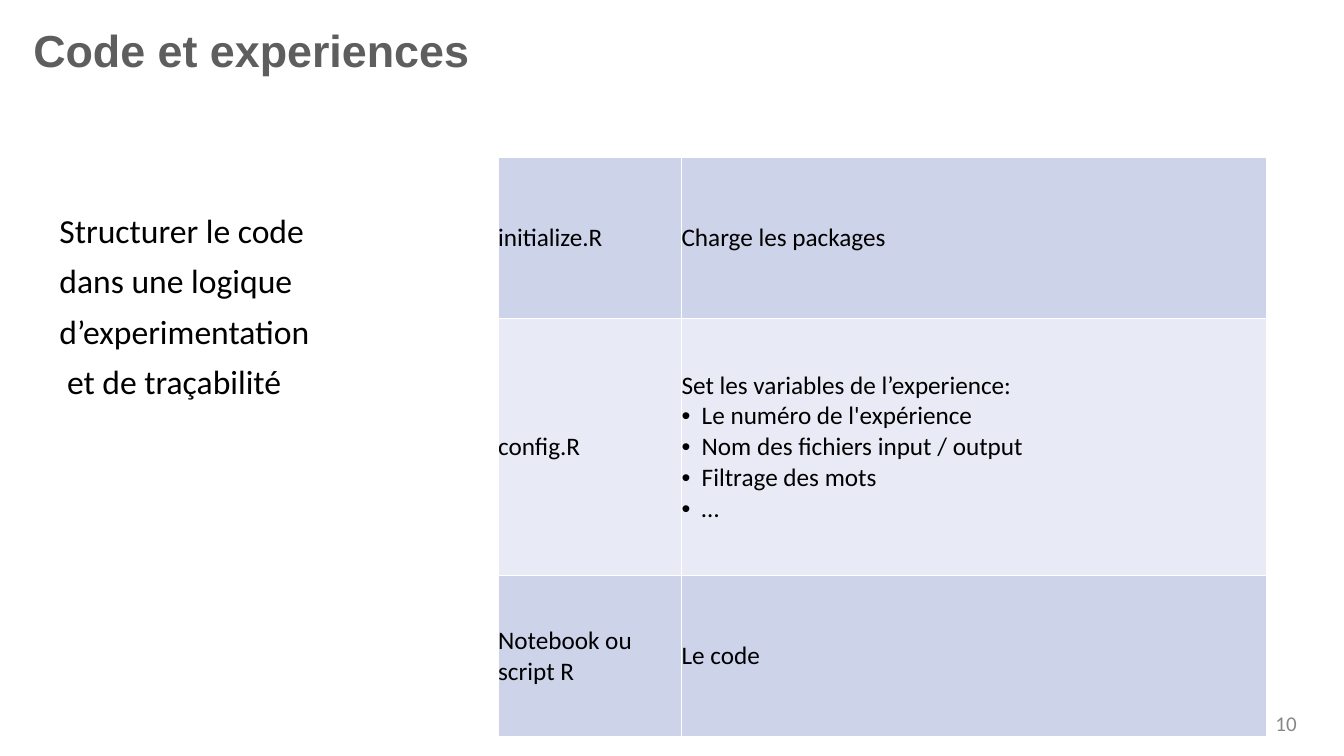
from lxml import etree
from pptx import Presentation
from pptx.dml.color import RGBColor
from pptx.enum.text import MSO_ANCHOR, MSO_AUTO_SIZE, PP_ALIGN
from pptx.oxml.ns import qn
from pptx.util import Inches, Pt

TITLE_ONLY_LAYOUT = 5
LEFT = PP_ALIGN.LEFT
TOP, MIDDLE, BOTTOM = MSO_ANCHOR.TOP, MSO_ANCHOR.MIDDLE, MSO_ANCHOR.BOTTOM
NO_AUTOFIT = MSO_AUTO_SIZE.NONE
GROW_SHAPE = MSO_AUTO_SIZE.SHAPE_TO_FIT_TEXT

BLACK, WHITE = "000000", "FFFFFF"
TITLE_GREY, NUMBER_GREY = "5E5E5E", "888888"
BAND_COLORS = ("CDD4EA", "E8EBF5")
COLUMN_WIDTHS = (1.82, 5.8)
ROW_HEIGHTS = (1.6, 2.55, 1.6)

MESSAGE = ["Structurer le code", "dans une logique", "d’experimentation", " et de traçabilité"]
# In each cell, the first line is plain and the lines after it are bullets.
SCRIPT_ROWS = [
    (["initialize.R"], ["Charge les packages"]),
    (["config.R"], [
        "Set les variables de l’experience:",
        "Le numéro de l'expérience",
        "Nom des fichiers input / output",
        "Filtrage des mots",
        "…",
    ]),
    (["Notebook ou script R"], ["Le code"]),
]


def rgb(color):
    return RGBColor.from_string(color)


def write_lines(frame, lines, size, color, font="Calibri", bold=False,
                line_spacing=None, space_before=None):
    """Write one left-aligned paragraph per line and return the paragraphs."""
    for index, line in enumerate(lines):
        paragraph = frame.paragraphs[0] if index == 0 else frame.add_paragraph()
        paragraph.alignment = LEFT
        if line_spacing is not None:
            paragraph.line_spacing = line_spacing
        if space_before is not None:
            paragraph.space_before = Pt(space_before)
        run = paragraph.add_run()
        run.text = line
        run.font.name = font
        run.font.size = Pt(size)
        run.font.bold = bold
        run.font.color.rgb = rgb(color)
    return frame.paragraphs


def format_frame(frame, anchor, wrap, auto_size):
    frame.word_wrap = wrap
    frame.auto_size = auto_size
    frame.vertical_anchor = anchor
    frame.margin_left = frame.margin_right = Inches(0.05)
    frame.margin_top = frame.margin_bottom = Inches(0.05)


def add_title(slide, text):
    title = slide.shapes.title
    title.left, title.top = Inches(0.28), Inches(-0.13)
    title.width, title.height = Inches(10), Inches(0.95)
    format_frame(title.text_frame, BOTTOM, True, NO_AUTOFIT)
    write_lines(title.text_frame, [text], 32, TITLE_GREY, "Arial", True, 0.9)


def add_text(slide, box, lines, size, color, anchor, **spacing):
    shape = slide.shapes.add_textbox(*map(Inches, box))
    format_frame(shape.text_frame, anchor, False, GROW_SHAPE)
    write_lines(shape.text_frame, lines, size, color, **spacing)


def add_bullet(paragraph):
    properties = paragraph._p.get_or_add_pPr()
    properties.set("marL", str(Inches(0.2)))
    properties.set("indent", str(Inches(-0.2)))
    etree.SubElement(properties, qn("a:buFont"), typeface="Arial")
    etree.SubElement(properties, qn("a:buChar"), char="•")


def add_borders(cell, color):
    properties = cell._tc.get_or_add_tcPr()
    for side in ("L", "R", "T", "B"):
        line = etree.SubElement(properties, qn(f"a:ln{side}"), w=str(Pt(1)))
        fill = etree.SubElement(line, qn("a:solidFill"))
        etree.SubElement(fill, qn("a:srgbClr"), val=color)


def fill_cell(cell, lines, color):
    add_borders(cell, WHITE)
    cell.fill.solid()
    cell.fill.fore_color.rgb = rgb(color)
    cell.vertical_anchor = MIDDLE
    cell.margin_left = cell.margin_right = 0
    cell.margin_top = cell.margin_bottom = 0
    paragraphs = write_lines(cell.text_frame, lines, 18, BLACK)
    for paragraph in paragraphs[1:]:
        add_bullet(paragraph)


def add_script_table(slide):
    table = slide.shapes.add_table(
        len(ROW_HEIGHTS), len(COLUMN_WIDTHS), Inches(4.94), Inches(1.56),
        Inches(sum(COLUMN_WIDTHS)), Inches(sum(ROW_HEIGHTS))).table
    table.first_row = False
    for column, width in zip(table.columns, COLUMN_WIDTHS):
        column.width = Inches(width)
    for index, (row, height, contents) in enumerate(zip(table.rows, ROW_HEIGHTS, SCRIPT_ROWS)):
        row.height = Inches(height)
        for cell, lines in zip(row.cells, contents):
            fill_cell(cell, lines, BAND_COLORS[index % 2])


def main():
    presentation = Presentation()
    presentation.slide_width = Inches(13.33)
    presentation.slide_height = Inches(7.5)
    slide = presentation.slides.add_slide(presentation.slide_layouts[TITLE_ONLY_LAYOUT])
    add_title(slide, "Code et experiences")
    add_text(slide, (0.54, 2.08, 3, 2.44), MESSAGE, 24, BLACK, TOP,
             line_spacing=0.9, space_before=10)
    add_script_table(slide)
    # The slide number stands just right of the table.
    add_text(slide, (12.6, 6.98, 0.33, 0.34), ["10"], 15, NUMBER_GREY, MIDDLE,
             line_spacing=1.2)
    presentation.save("out.pptx")


if __name__ == "__main__":
    main()
